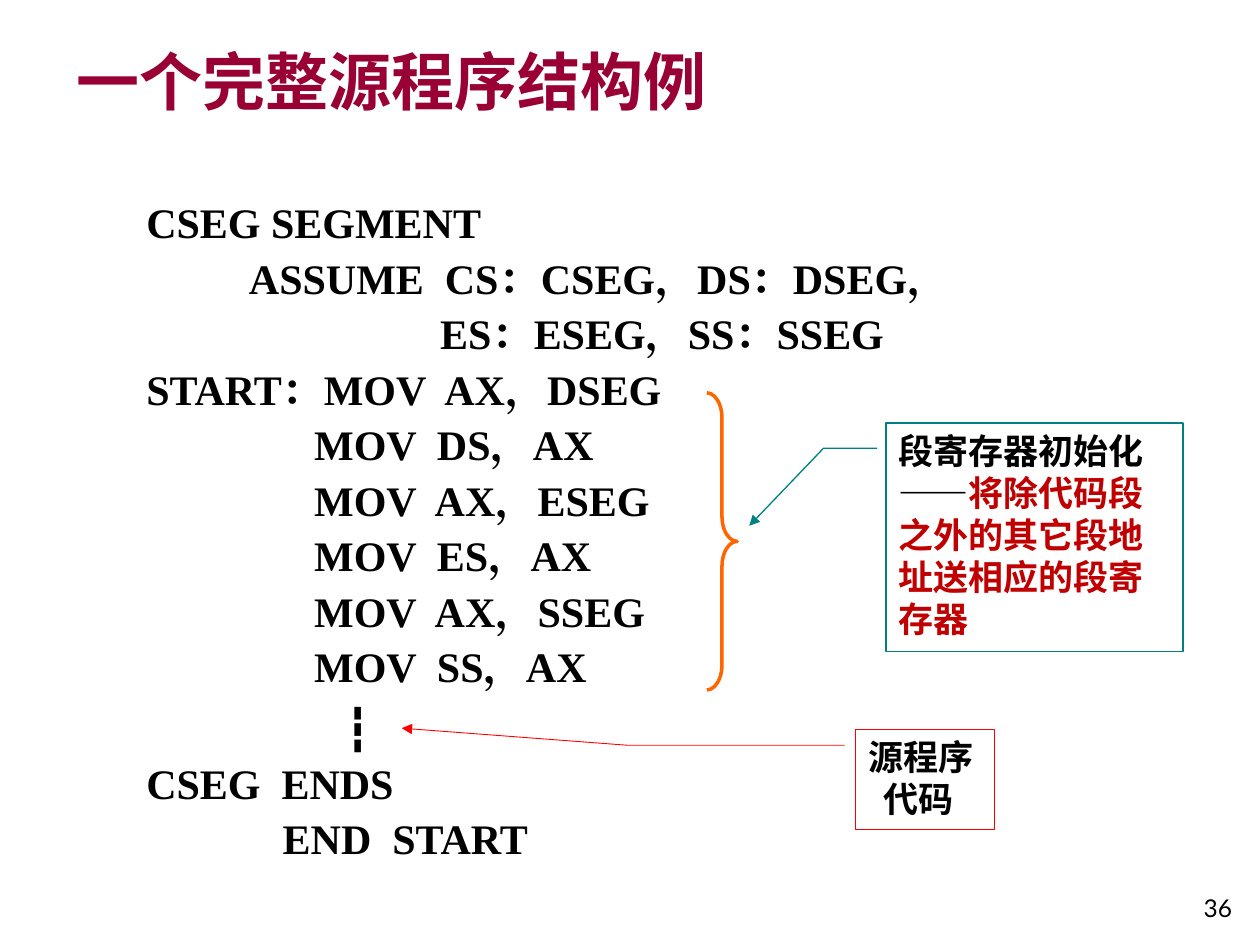
from lxml.etree import SubElement
from pptx import Presentation
from pptx.dml.color import RGBColor
from pptx.enum.shapes import MSO_SHAPE as Shape
from pptx.enum.text import MSO_ANCHOR as Anchor, PP_ALIGN as Align
from pptx.oxml.ns import qn
from pptx.util import Cm, Pt

BLACK = RGBColor(0x00, 0x00, 0x00)
CRIMSON = RGBColor(0x99, 0x00, 0x33)
DARK_RED = RGBColor(0xC0, 0x00, 0x00)
RED = RGBColor(0xFF, 0x00, 0x00)
TEAL = RGBColor(0x00, 0x80, 0x80)
ORANGE = RGBColor(0xFF, 0x66, 0x00)
SANS, SERIF, NUMBER_FONT = "Noto Sans CJK SC", "Times New Roman", "Lato"

TITLE = "一个完整源程序结构例"
PAGE_NUMBER = "36"
ELLIPSIS = "┇"
CODE = [
    " CSEG SEGMENT",
    "           ASSUME  CS：CSEG，DS：DSEG，",
    "                             ES：ESEG，SS：SSEG",
    " START：MOV  AX，DSEG",
    "                 MOV  DS，AX",
    "                 MOV  AX，ESEG",
    "                 MOV  ES，AX",
    "                 MOV  AX，SSEG",
    "                 MOV  SS，AX",
    ELLIPSIS,
    " CSEG  ENDS",
    "              END  START",
]
# Each paragraph is (left indent in cm, [(text, colour), ...])
CALLOUTS = [
    {"box": (17.25, 14.7, 2.79, 2.03), "line": (RED, 0.5),
     "leader": (0.16, -0.08, 0.16, -1.65, -0.01, -3.28),
     "paragraphs": [(0, [("源程序", BLACK)]), (0.32, [("代码", BLACK)])]},
    {"box": (17.86, 8.53, 5.99, 4.6), "line": (TEAL, 0.75),
     "leader": (0.11, -0.03, 0.11, -0.21, 0.45, -0.46),
     "paragraphs": [
         (0, [("段寄存器初始化", BLACK)]),
         (0, [("——", BLACK),
              ("将除代码段之外的其它段地址送相应的段寄存器", DARK_RED)])]},
]


def add_run(paragraph, text, size, face, colour=BLACK, bold=True):
    run = paragraph.add_run()
    run.text = text
    font = run.font
    font.size, font.bold, font.name = Pt(size), bold, face
    font.color.rgb = colour
    SubElement(font._element, qn("a:ea")).set("typeface", face)


def indent(paragraph, left, first=0):
    properties = paragraph._p.get_or_add_pPr()
    properties.set("marL", str(Cm(left)))
    properties.set("indent", str(Cm(first)))


def add_text_frame(slide, box, anchor=Anchor.TOP):
    frame = slide.shapes.add_textbox(*map(Cm, box)).text_frame
    frame.word_wrap = True
    frame.vertical_anchor = anchor
    return frame


def paragraphs_for(frame, items):
    """Yield each item with its own paragraph of the frame."""
    for i, item in enumerate(items):
        yield (frame.add_paragraph() if i else frame.paragraphs[0]), item


def add_outline(slide, preset, box, line, adjustments):
    outline = slide.shapes.add_shape(preset, *map(Cm, box))
    outline.shadow.inherit = False
    outline.fill.background()
    colour, width = line
    outline.line.color.rgb = colour
    outline.line.width = Pt(width)
    for i, value in enumerate(adjustments):
        outline.adjustments[i] = value
    return outline


def add_code(slide):
    frame = add_text_frame(slide, (2.49, 3.96, 19.33, 13.77))
    for paragraph, line in paragraphs_for(frame, CODE):
        if line == ELLIPSIS:
            indent(paragraph, 0, 4.22)
        else:
            indent(paragraph, 0.95, -0.95)
            paragraph.line_spacing = 0.9
        if line != CODE[0]:
            paragraph.space_before = Pt(5.8)
        add_run(paragraph, line, 24, SERIF)


def add_callout(slide, callout):
    note = add_outline(slide, Shape.LINE_CALLOUT_2, callout["box"],
                       callout["line"], callout["leader"])
    SubElement(note.line._get_or_add_ln(), qn("a:tailEnd")).set("type", "triangle")
    frame = note.text_frame
    frame.word_wrap = True
    frame.vertical_anchor = Anchor.TOP
    for paragraph, (left, runs) in paragraphs_for(frame, callout["paragraphs"]):
        indent(paragraph, left)
        paragraph.alignment = Align.LEFT
        paragraph.line_spacing = Pt(24)
        for text, colour in runs:
            add_run(paragraph, text, 20, SANS, colour)


def main():
    deck = Presentation()
    deck.slide_width, deck.slide_height = Cm(25.4), Cm(19.05)
    slide = deck.slides.add_slide(deck.slide_layouts[6])

    number = add_text_frame(slide, (23.29, 17.45, 1.8, 1.27), Anchor.BOTTOM).paragraphs[0]
    number.alignment = Align.RIGHT
    add_run(number, PAGE_NUMBER, 14, NUMBER_FONT, bold=False)

    title = add_text_frame(slide, (1.3, 0.74, 21.31, 2.01)).paragraphs[0]
    add_run(title, TITLE, 36, SANS, CRIMSON)

    add_code(slide)
    add_outline(slide, Shape.RIGHT_BRACE, (14.25, 7.92, 0.61, 5.99),
                (ORANGE, 2), (0.83, 0.5))
    for callout in CALLOUTS:
        add_callout(slide, callout)
    deck.save("out.pptx")


if __name__ == "__main__":
    main()
